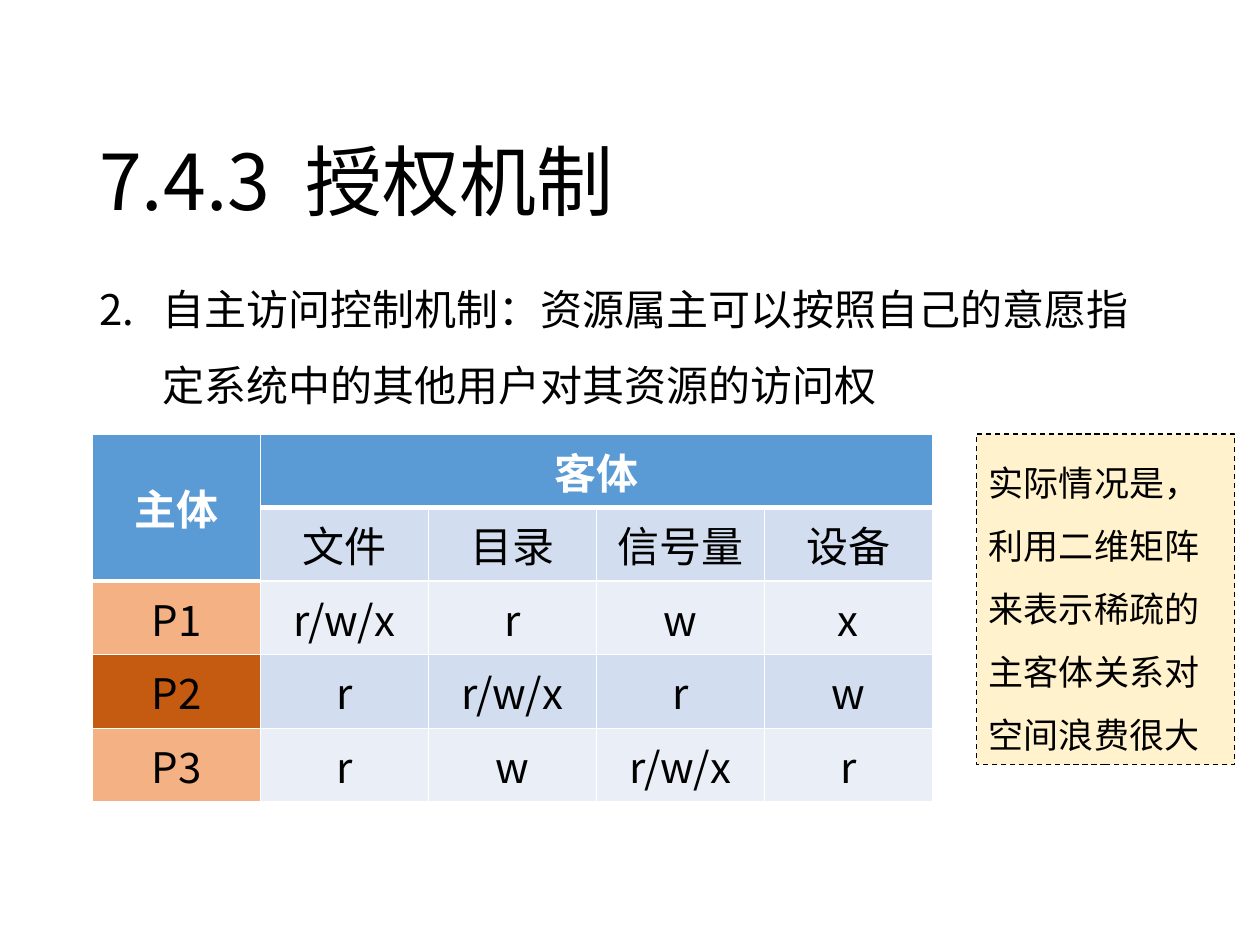
from dataclasses import dataclass

from lxml.etree import SubElement
from pptx import Presentation
from pptx.dml.color import RGBColor
from pptx.enum.dml import MSO_LINE
from pptx.enum.shapes import MSO_SHAPE
from pptx.enum.text import MSO_ANCHOR, MSO_AUTO_SIZE, PP_ALIGN
from pptx.oxml.ns import qn
from pptx.util import Pt

FONT = "Noto Sans CJK SC"
COLORS = {
    "text": "000000", "white": "FFFFFF", "header": "5B9BD5",
    "band_dark": "D2DEEF", "band_light": "EAEFF7",
    "subject_light": "F4B183", "subject_dark": "C55A11", "note": "FFF2CC",
}


@dataclass
class MatrixRow:
    labels: list[str]
    first_fill: str
    fill: str
    text_color: str = "text"
    bold: bool = False


ROWS = [
    MatrixRow(["主体", "客体", "", "", ""], "header", "header", "white", True),
    MatrixRow(["", "文件", "目录", "信号量", "设备"], "header", "band_dark"),
    MatrixRow(["P1", "r/w/x", "r", "w", "x"], "subject_light", "band_light"),
    MatrixRow(["P2", "r", "r/w/x", "r", "w"], "subject_dark", "band_dark"),
    MatrixRow(["P3", "r", "w", "r/w/x", "r"], "subject_light", "band_light"),
]


def rgb(name: str) -> RGBColor:
    return RGBColor.from_string(COLORS[name])


def set_attributes(target, values: dict) -> None:
    for name, value in values.items():
        setattr(target, name, value)


def place(shape, left: float, top: float, width: float, height: float) -> None:
    box = {"left": left, "top": top, "width": width, "height": height}
    set_attributes(shape, {name: Pt(value) for name, value in box.items()})


def add_span(para, text: str, size: float, color: str = "text", bold: bool = False):
    span = para.add_run()
    span.text = text
    set_attributes(span.font, {"name": FONT, "size": Pt(size), "bold": bold})
    span.font.color.rgb = rgb(color)
    SubElement(span._r.get_or_add_rPr(), qn("a:ea"), typeface=FONT)
    return span


def set_borders(cell, top: float, bottom: float) -> None:
    """Draw white borders; call before filling, since fill follows lines in the XML."""
    properties = cell._tc.get_or_add_tcPr()
    for side, width in {"L": 1, "R": 1, "T": top, "B": bottom}.items():
        line = SubElement(properties, qn(f"a:ln{side}"), w=str(Pt(width)))
        fill = SubElement(line, qn("a:solidFill"))
        SubElement(fill, qn("a:srgbClr"), val=COLORS["white"])


def add_title(page) -> None:
    title = page.shapes.title
    place(title, 49.5, 29, 621, 104.5)
    set_attributes(title.text_frame, {"vertical_anchor": MSO_ANCHOR.BOTTOM,
                                      "auto_size": MSO_AUTO_SIZE.NONE})
    para = title.text_frame.paragraphs[0]
    set_attributes(para, {"alignment": PP_ALIGN.LEFT, "line_spacing": 0.9})
    add_span(para, "7.4.3", 44)
    gap = add_span(para, " ", 44)
    gap._r.get_or_add_rPr().set("spc", "1000")
    add_span(para, "授权机制", 44)


def add_body(page) -> None:
    body = page.placeholders[1]
    place(body, 49.5, 144, 621, 342.5)
    body.text_frame.auto_size = MSO_AUTO_SIZE.NONE
    para = body.text_frame.paragraphs[0]
    properties = para._p.get_or_add_pPr()
    properties.set("marL", str(Pt(36)))
    properties.set("indent", str(-Pt(36)))
    SubElement(properties, qn("a:buFont"), typeface="+mj-lt")
    SubElement(properties, qn("a:buAutoNum"), type="arabicPeriod", startAt="2")
    set_attributes(para, {"line_spacing": 1.5, "space_before": Pt(0)})
    add_span(para, "自主访问控制机制：资源属主可以按照自己的意愿指定系统中的其他用户对其资源的访问权", 24)


def add_access_matrix(page) -> None:
    columns = len(ROWS[0].labels)
    frame = page.shapes.add_table(len(ROWS), columns,
                                  Pt(52.8), Pt(248), Pt(480), Pt(180))
    table = frame.table
    set_attributes(table, {"first_row": False, "horz_banding": False})
    table.cell(0, 0).merge(table.cell(1, 0))
    table.cell(0, 1).merge(table.cell(0, columns - 1))
    table.cell(0, 0).vertical_anchor = MSO_ANCHOR.MIDDLE
    for row_index, row in enumerate(ROWS):
        for column, label in enumerate(row.labels):
            cell = table.cell(row_index, column)
            last_header_row = 1 if column == 0 else 0
            set_borders(cell,
                        top=3 if row_index == last_header_row + 1 else 1,
                        bottom=3 if row_index <= last_header_row else 1)
            cell.fill.solid()
            cell.fill.fore_color.rgb = rgb(row.fill if column else row.first_fill)
            if label:
                para = cell.text_frame.paragraphs[0]
                para.alignment = PP_ALIGN.CENTER
                add_span(para, label, 24, row.text_color, row.bold)


def add_note(page) -> None:
    note = page.shapes.add_shape(MSO_SHAPE.RECTANGLE,
                                 Pt(558), Pt(248), Pt(147.6), Pt(189))
    note.shadow.inherit = False
    note.fill.solid()
    note.fill.fore_color.rgb = rgb("note")
    note.line.color.rgb = rgb("text")
    set_attributes(note.line, {"width": Pt(0.75), "dash_style": MSO_LINE.DASH})
    set_attributes(note.text_frame, {"word_wrap": True,
                                     "vertical_anchor": MSO_ANCHOR.TOP,
                                     "auto_size": MSO_AUTO_SIZE.SHAPE_TO_FIT_TEXT})
    para = note.text_frame.paragraphs[0]
    set_attributes(para, {"alignment": PP_ALIGN.LEFT, "line_spacing": 1.5})
    add_span(para, "实际情况是，利用二维矩阵来表示稀疏的主客体关系对空间浪费很大", 20)


def main() -> None:
    deck = Presentation()
    set_attributes(deck, {"slide_width": Pt(720), "slide_height": Pt(540)})
    page = deck.slides.add_slide(deck.slide_layouts[1])
    add_title(page)
    add_body(page)
    add_access_matrix(page)
    add_note(page)
    deck.save("out.pptx")


if __name__ == "__main__":
    main()
